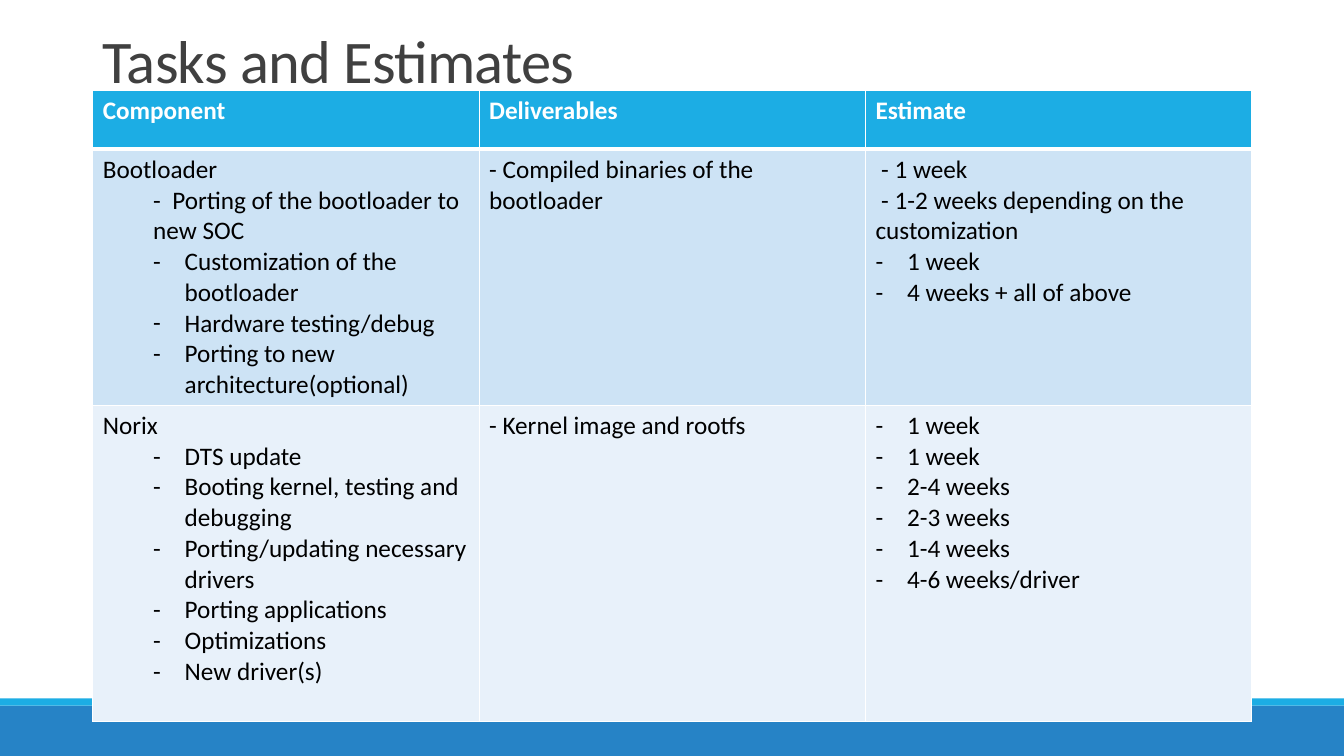
from lxml.etree import SubElement
from pptx import Presentation
from pptx.dml.color import RGBColor
from pptx.enum.shapes import MSO_SHAPE
from pptx.enum.text import MSO_ANCHOR, MSO_AUTO_SIZE, PP_ALIGN
from pptx.oxml.ns import qn
from pptx.util import Pt

WIDTH, HEIGHT = 960, 540
LEFT, TABLE_WIDTH = 66.24, 828
HEADER = ["Component", "Deliverables", "Estimate"]
HANGING = 22.5
NESTED = 36


def plain(text, left=0):
    """Describe a paragraph without a bullet."""
    return {"text": text, "left": left}


def dashes(left, *texts):
    """Describe paragraphs with a hanging dash bullet."""
    return [{"text": text, "left": left + HANGING, "bullet": "-"} for text in texts]


BOOTLOADER = [
    [plain("Bootloader"),
     plain("-  Porting of the bootloader to new SOC", NESTED),
     *dashes(NESTED, "Customization of the bootloader", "Hardware testing/debug",
             "Porting to new architecture(optional)")],
    [plain("- Compiled binaries of the bootloader")],
    [plain(" - 1 week"),
     plain(" - 1-2 weeks depending on the customization"),
     *dashes(0, "1 week", "4 weeks + all of above")],
]
KERNEL = [
    [plain("Norix"),
     *dashes(NESTED, "DTS update", "Booting kernel, testing and debugging",
             "Porting/updating necessary drivers", "Porting applications",
             "Optimizations", "New driver(s)")],
    [plain("- Kernel image and rootfs")],
    dashes(0, "1 week", "1 week", "2-4 weeks", "2-3 weeks", "1-4 weeks",
           "4-6 weeks/driver"),
]


def color(value):
    """Turn a hex string into a colour."""
    return RGBColor.from_string(value)


def write(para, text, size=18, fill="000000", bold=False, spacing=None,
          left=0, bullet=None):
    """Write formatted text into a paragraph."""
    span = para.add_run()
    span.text = text
    span.font.name = "Calibri"
    span.font.size = Pt(size)
    span.font.bold = bold
    span.font.color.rgb = color(fill)
    if spacing is not None:
        span.font._element.set("spc", str(int(spacing * 100)))
    para.level = 1 if left >= NESTED else 0
    properties = para._p.get_or_add_pPr()
    properties.set("marL", str(Pt(left)))
    properties.set("indent", str(Pt(-HANGING if bullet else 0)))
    if bullet:
        SubElement(properties, qn("a:buFont"), typeface="Calibri")
        SubElement(properties, qn("a:buChar"), char=bullet)


def add_band(page, top, height, fill):
    """Add a full-width footer band."""
    band = page.shapes.add_shape(MSO_SHAPE.RECTANGLE, 0, Pt(top), Pt(WIDTH), Pt(height))
    band.shadow.inherit = False
    band.fill.solid()
    band.fill.fore_color.rgb = color(fill)
    band.line.fill.background()


def add_title(page, text):
    """Place and format the title placeholder."""
    title = page.shapes.title
    title.left, title.top = Pt(LEFT), Pt(28.8)
    title.width, title.height = Pt(TABLE_WIDTH), Pt(43.2)
    frame = title.text_frame
    frame.word_wrap = True
    frame.auto_size = MSO_AUTO_SIZE.NONE
    frame.vertical_anchor = MSO_ANCHOR.BOTTOM
    para = frame.paragraphs[0]
    para.alignment = PP_ALIGN.LEFT
    para.line_spacing = 0.85
    write(para, text, size=43.2, fill="404040", spacing=-0.5)


def set_borders(cell, top, bottom):
    """Draw white borders around a cell."""
    properties = cell._tc.get_or_add_tcPr()
    for side, width in (("L", 1), ("R", 1), ("T", top), ("B", bottom)):
        line = SubElement(properties, qn(f"a:ln{side}"), w=str(Pt(width)))
        solid = SubElement(line, qn("a:solidFill"))
        SubElement(solid, qn("a:srgbClr"), val="FFFFFF")


def fill_cell(cell, items, fill, top=1, bottom=1):
    """Fill a cell with colour, borders and paragraphs."""
    set_borders(cell, top, bottom)
    cell.fill.solid()
    cell.fill.fore_color.rgb = color(fill)
    frame = cell.text_frame
    for index, item in enumerate(items):
        para = frame.add_paragraph() if index else frame.paragraphs[0]
        write(para, **item)


def add_estimates(page):
    """Add the table of tasks and estimates."""
    heights = [41.8, 182.9, 226]
    header = [[{"text": text, "fill": "FFFFFF", "bold": True}] for text in HEADER]
    rows = [header, BOOTLOADER, KERNEL]
    fills = ["1CADE4", "CDE3F5", "E8F1FA"]
    table = page.shapes.add_table(len(rows), len(HEADER), Pt(LEFT), Pt(64.8),
                                  Pt(TABLE_WIDTH), Pt(sum(heights))).table
    for column in table.columns:
        column.width = Pt(TABLE_WIDTH / len(HEADER))
    for index, (row, height, fill) in enumerate(zip(rows, heights, fills)):
        table.rows[index].height = Pt(height)
        for position, items in enumerate(row):
            fill_cell(table.cell(index, position), items, fill,
                      top=3 if index == 1 else 1, bottom=3 if index == 0 else 1)


def main():
    """Build and save the slide."""
    deck = Presentation()
    deck.slide_width, deck.slide_height = Pt(WIDTH), Pt(HEIGHT)
    page = deck.slides.add_slide(deck.slide_layouts[5])
    add_band(page, 504, 36, "2683C6")
    add_band(page, 498.8, 5.2, "1CADE4")
    add_title(page, "Tasks and Estimates")
    add_estimates(page)
    deck.save("out.pptx")


main()
